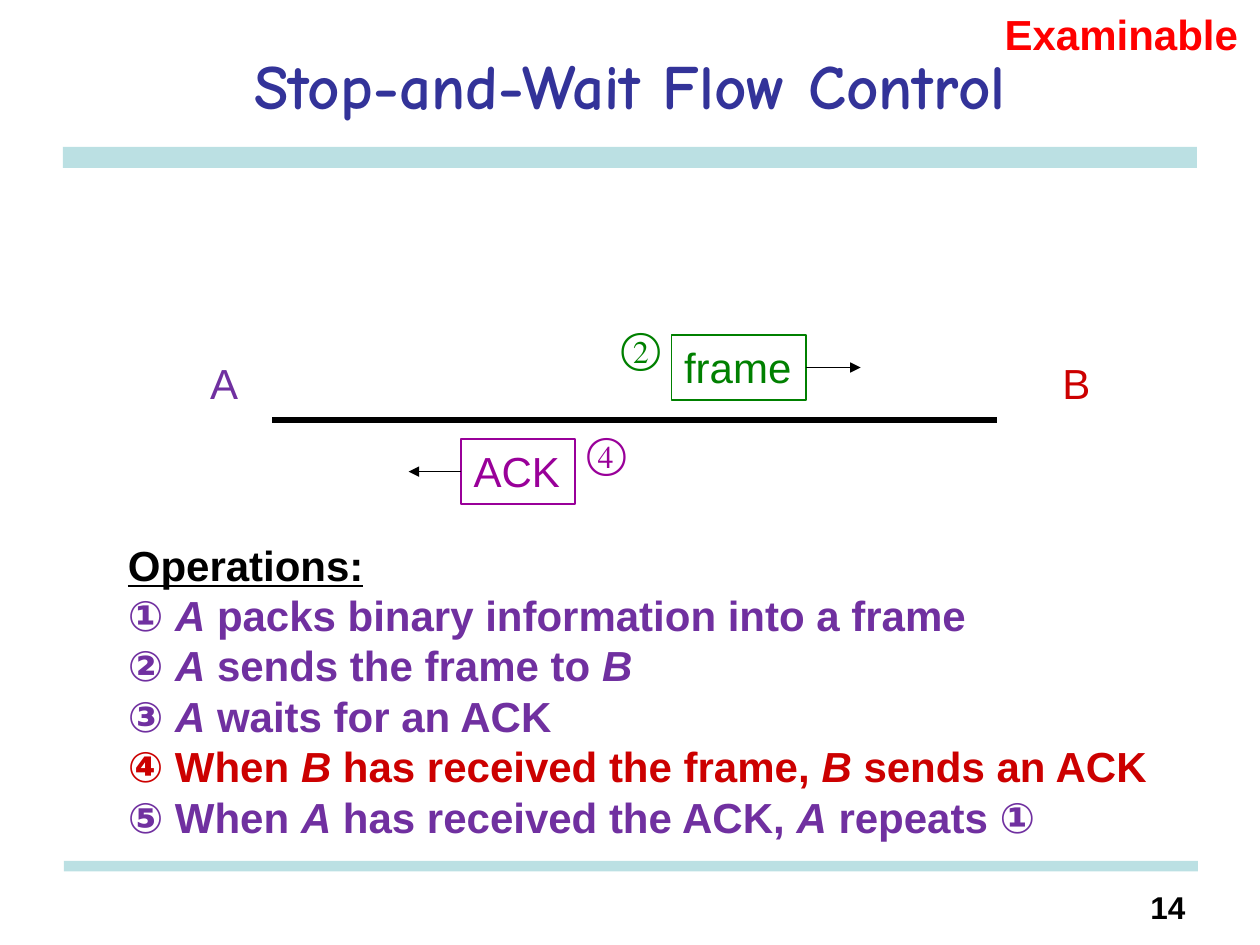
from dataclasses import dataclass

from lxml import etree
from pptx import Presentation
from pptx.dml.color import RGBColor
from pptx.enum.shapes import MSO_CONNECTOR, MSO_SHAPE
from pptx.enum.text import MSO_ANCHOR, PP_ALIGN
from pptx.oxml.ns import qn
from pptx.util import Pt

LINE, RECT = MSO_CONNECTOR.STRAIGHT, MSO_SHAPE.RECTANGLE
LEFT, MID, RIGHT = PP_ALIGN.LEFT, PP_ALIGN.CENTER, PP_ALIGN.RIGHT
TOP, CENTER = MSO_ANCHOR.TOP, MSO_ANCHOR.MIDDLE
WEST, EAST = 1, 3  # connection sites of a rectangle


@dataclass(frozen=True)
class Theme:
    sans: str = "Arial"
    serif: str = "Times New Roman"
    comic: str = "Comic Neue"
    head: int = 36
    body: int = 24
    small: int = 18
    ink: str = "000000"
    title: str = "333399"
    bar: str = "BBE0E3"
    send: str = "7030A0"
    recv: str = "CC0000"
    frame: str = "008000"
    ack: str = "990099"
    note: str = "FF0000"


T = Theme()
STEPS = [  # asterisks enclose italic names
    ("① *A* packs binary information into a frame", T.send),
    ("② *A* sends the frame to *B*", T.send),
    ("③ *A* waits for an ACK", T.send),
    ("④ When *B* has received the frame, *B* sends an ACK", T.recv),
    ("⑤ When *A* has received the ACK, *A* repeats ①", T.send),
]


def rgb(color):
    return RGBColor.from_string(color)


def write(para, text, color, font=T.sans, size=T.body, align=LEFT, **form):
    """Fill a paragraph; text between asterisks is italic."""
    para.alignment = align
    for i, part in enumerate(text.split("*")):
        if not part:
            continue
        run = para.add_run()
        run.text = part
        look = {"name": font, "size": Pt(size), "italic": i % 2 == 1, **form}
        for key, value in look.items():
            setattr(run.font, key, value)
        run.font.color.rgb = rgb(color)
        east = etree.SubElement(run.font._element, qn("a:ea"))
        east.set("typeface", font)


def setup(frame, wrap=False, anchor=TOP):
    frame.word_wrap = wrap
    frame.vertical_anchor = anchor
    return frame


def label(slide, box, text, color, wrap=False, **form):
    shape = slide.shapes.add_textbox(*map(Pt, box))
    write(setup(shape.text_frame, wrap).paragraphs[0], text, color, **form)


def block(slide, box, fill=None, edge=None):
    shape = slide.shapes.add_shape(RECT, *map(Pt, box))
    shape.shadow.inherit = False
    if fill:
        shape.fill.solid()
        shape.fill.fore_color.rgb = rgb(fill)
    else:
        shape.fill.background()
    if edge:
        shape.line.color.rgb = rgb(edge)
        shape.line.width = Pt(1)
    else:
        shape.line.fill.background()
    return shape


def line(slide, x1, x2, y, width=1, arrow=False):
    link = slide.shapes.add_connector(LINE, Pt(x1), Pt(y), Pt(x2), Pt(y))
    link.line.color.rgb = rgb(T.ink)
    link.line.width = Pt(width)
    if arrow:
        tip = etree.SubElement(link.line._get_or_add_ln(), qn("a:tailEnd"))
        tip.set("type", "triangle")
    etree.SubElement(link._element.spPr, qn("a:effectLst"))
    return link


def header(slide, box):
    x, y, w, h = box
    block(slide, (x, y + h, w, 12), fill=T.bar)
    title = slide.shapes.title
    spots = zip(("left", "top", "width", "height"), box)
    for key, value in spots:
        setattr(title, key, Pt(value))
    frame = setup(title.text_frame, True, CENTER)
    write(frame.paragraphs[0], "Stop-and-Wait Flow Control", T.title,
          font=T.comic, size=T.head, align=MID, bold=True)
    label(slide, (x + 531, 1.4, 210, 36), "Examinable", T.note,
          wrap=True, bold=True)


def footer(slide, box):
    x, y, w, h = box
    block(slide, (x, y, w, 6), fill=T.bar)
    label(slide, (x + w - 48, y + h - 30, 48, 30), "14", T.ink,
          wrap=True, size=T.small, align=RIGHT, bold=True)


def packet(slide, box, text, color, site, reach):
    """A message box with an arrow leaving from one side."""
    x, y, w, h = box
    shape = block(slide, box, edge=color)
    frame = setup(shape.text_frame)
    write(frame.paragraphs[0], text, color)
    start = x + w if site == EAST else x
    link = line(slide, start, start + reach, y + h / 2, arrow=True)
    link.begin_connect(shape, site)


def diagram(slide, box):
    x, y, w, h = box
    # Link between the two stations
    line(slide, x + 42.5, x + 456.5, y + 60, width=3)
    label(slide, (x, y + 21, 30, 36), "A", T.send)
    label(slide, (x + w - 30, y + 21, 30, 36), "B", T.recv)
    # Frame to the right, reply to the left
    packet(slide, (x + 270.8, y + 11.5, 77, 37), "frame", T.frame, EAST, 31)
    packet(slide, (x + 150.5, y + h - 37, 65, 37), "ACK", T.ack, WEST, -30)
    # Step marks beside the packets
    marks = [("②", T.frame, 234.8, 0), ("④", T.ack, 215.3, 60)]
    for text, color, dx, dy in marks:
        label(slide, (x + dx, y + dy, 36, 36), text, color, font=T.serif)


def steps(slide, box):
    shape = slide.shapes.add_textbox(*map(Pt, box))
    frame = setup(shape.text_frame)
    write(frame.paragraphs[0], "Operations:", T.ink, bold=True, underline=True)
    for text, color in STEPS:
        write(frame.add_paragraph(), text, color, bold=True)


def main():
    deck = Presentation()
    deck.slide_width, deck.slide_height = Pt(720), Pt(540)
    slide = deck.slides.add_slide(deck.slide_layouts[5])
    header(slide, (36, 12, 648, 72))
    footer(slide, (36.5, 492, 648, 42))
    diagram(slide, (113, 180, 517, 108))
    steps(slide, (66, 304.5, 603, 181.5))
    deck.save("out.pptx")


if __name__ == "__main__":
    main()
